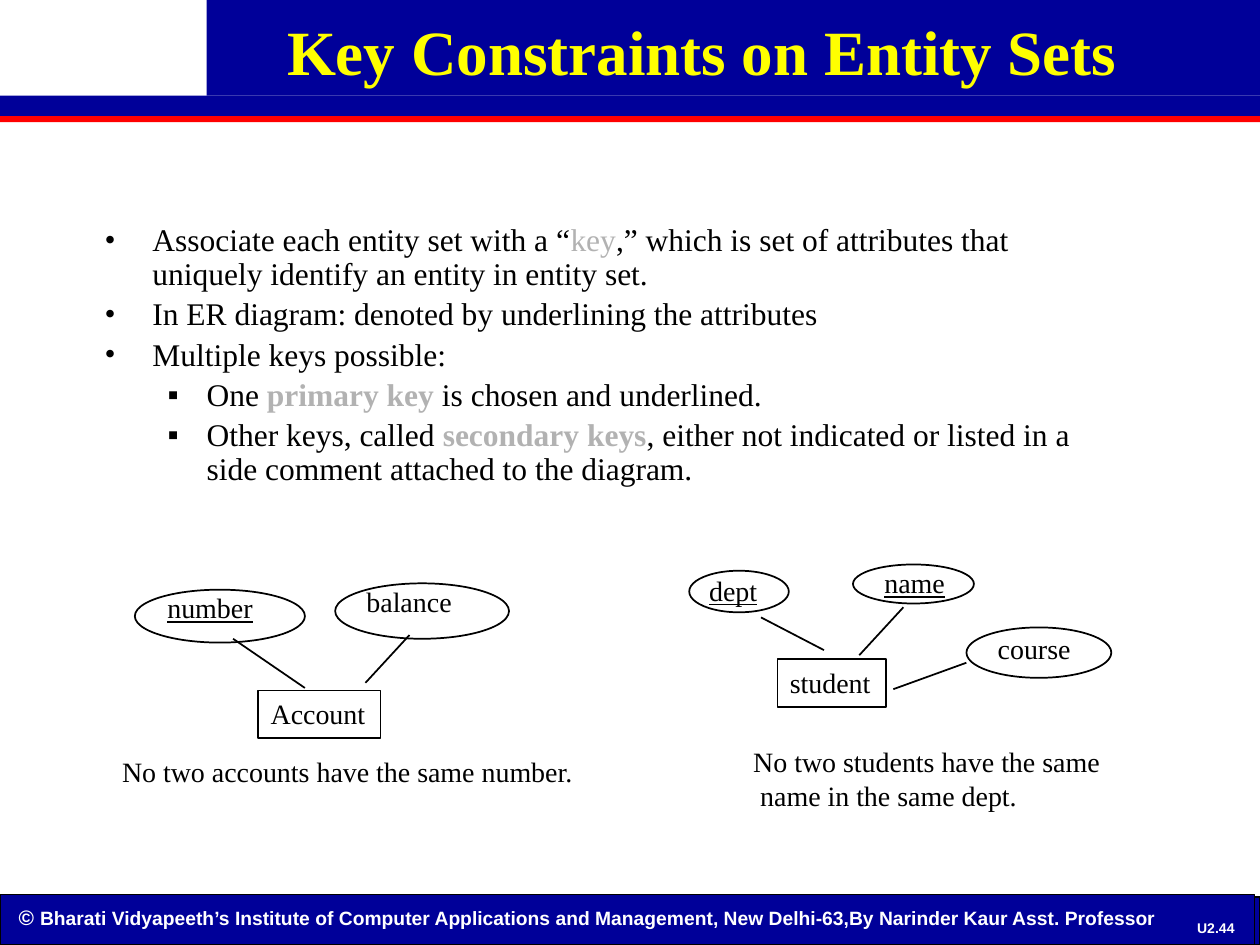
from lxml import etree
from pptx import Presentation
from pptx.dml.color import RGBColor
from pptx.enum.shapes import MSO_CONNECTOR as Conn, MSO_SHAPE as Geo
from pptx.enum.text import MSO_ANCHOR as Anchor, MSO_AUTO_SIZE as Fit, PP_ALIGN as Align
from pptx.oxml.ns import qn
from pptx.util import Emu, Pt

PX = 9144  # 100 px to the inch
NAVY = RGBColor(0x00, 0x00, 0x99)
RED = RGBColor(0xFF, 0x00, 0x00)
YELLOW = RGBColor(0xFF, 0xFF, 0x00)
GRAY = RGBColor(0xB2, 0xB2, 0xB2)
BLACK = RGBColor(0x00, 0x00, 0x00)
WHITE = RGBColor(0xFF, 0xFF, 0xFF)
SERIF, SANS = "Times New Roman", "Arial"

# Each bullet: level, then runs of (text, color, bold)
BULLETS = [
    (0, [("Associate each entity set with a “", BLACK, False), ("key", GRAY, False),
         (",” which is set of attributes that uniquely identify an entity in entity set.",
          BLACK, False)]),
    (0, [("In ER diagram: denoted by underlining the attributes", BLACK, False)]),
    (0, [("Multiple keys possible:", BLACK, False)]),
    (1, [("One ", BLACK, False), ("primary key ", GRAY, True),
         ("is chosen and underlined.", BLACK, False)]),
    (1, [("Other keys, called ", BLACK, False), ("secondary keys", GRAY, True),
         (", either not indicated or listed in a side comment attached to the diagram.",
          BLACK, False)]),
]
MARKS = [("•", 38, 38), ("▪", 81, 31)]  # sign, indent, hang

# Attributes: name, is key, oval box, label box
ACCOUNT = dict(
    name="Account", rect=(118, 89, 97, 38),
    attrs=[("number", True, (20, 9, 135, 42), (36, 5, 126, 37)),
           ("balance", False, (179, 4, 138, 44), (194, 0, 88, 37))],
    links=[(155, 87, 98, 48), (203, 83, 238, 45)],
    note="No two accounts have the same number.", place=(0, 135, 381, 37))
STUDENT = dict(
    name="student", rect=(70, 79, 86, 38),
    attrs=[("dept", True, (0, 9, 79, 33), (6, 6, 84, 37)),
           ("name", True, (130, 4, 96, 31), (145, 0, 68, 37)),
           ("course", False, (220, 54, 115, 40), (235, 52, 78, 37))],
    links=[(107, 72, 57, 46), (135, 76, 170, 38), (162, 103, 220, 82)],
    note="No two students have the same\n name in the same dept.", place=(41, 142, 297, 64))


def scale(*nums):
    return [Emu(n * PX) for n in nums]


def shift(box, x, y):
    return box[0] + x, box[1] + y, box[2], box[3]


def style(font, size, color, face=SERIF, bold=False):
    font.size, font.name, font.bold = Pt(size), face, bold
    font.color.rgb = color


def add_shape(slide, geo, box, fill=None, line=None, width=1):
    shape = slide.shapes.add_shape(geo, *scale(*box))
    shape.shadow.inherit = False
    if fill is None:
        shape.fill.background()
    else:
        shape.fill.solid()
        shape.fill.fore_color.rgb = fill
    if line is None:
        shape.line.fill.background()
    else:
        shape.line.color.rgb = line
        shape.line.width = Pt(width)
    return shape


def put_text(shape, text, underline=False):
    frame = shape.text_frame
    frame.word_wrap = True
    frame.margin_right = 0
    frame.vertical_anchor = Anchor.TOP
    frame.text = text
    for para in frame.paragraphs:
        para.alignment = Align.LEFT
        for run in para.runs:
            style(run.font, 16, BLACK)
            run.font.underline = underline


def add_text(slide, box, text, underline=False):
    put_text(slide.shapes.add_textbox(*scale(*box)), text, underline)


def add_link(slide, ends):
    link = slide.shapes.add_connector(Conn.STRAIGHT, *scale(*ends))
    link.line.color.rgb = BLACK
    link.line.width = Pt(1)
    etree.SubElement(link._element.spPr, qn("a:effectLst"))


def add_header(slide, x, y, w):
    # Red rule and navy bands, leaving a white corner
    add_shape(slide, Geo.RECTANGLE, (x, y + 92, w, 5), RED)
    add_shape(slide, Geo.RECTANGLE, (x + 164, y, w - 164, 76), NAVY)
    add_shape(slide, Geo.RECTANGLE, (x, y + 76, w, 16), NAVY)
    title = slide.shapes.title
    title.left, title.top, title.width, title.height = scale(x + 145, y, 824, 89)
    frame = title.text_frame
    frame.text = "Key Constraints on Entity Sets"
    frame.auto_size = Fit.NONE
    frame.vertical_anchor = Anchor.TOP
    frame.margin_top = Emu(10 * PX)
    para = frame.paragraphs[0]
    para.alignment = Align.CENTER
    style(para.runs[0].font, 36, YELLOW, bold=True)


def add_footer(slide, x, y, w):
    add_shape(slide, Geo.RECTANGLE, (x, y + 2, w, 38), NAVY, BLACK, 0.75)
    add_shape(slide, Geo.RECTANGLE, (x, y, w - 4, 40), NAVY, BLACK, 0.75)
    credit = ("Bharati Vidyapeeth’s Institute of Computer Applications and Management, "
              "New Delhi-63,By Narinder Kaur Asst. Professor")
    parts = [((x + 5, y + 3, 948, 30), [("© ", 12), (credit, 11)], Align.LEFT),
             ((x + 939, y + 17, 52, 19), [("U2.44", 8)], Align.CENTER)]
    for box, runs, side in parts:
        frame = slide.shapes.add_textbox(*scale(*box)).text_frame
        frame.word_wrap = True
        frame.margin_right = frame.margin_left = Emu((10 if side == Align.LEFT else 0) * PX)
        frame.vertical_anchor = Anchor.MIDDLE
        para = frame.paragraphs[0]
        para.alignment = side
        for text, size in runs:
            run = para.add_run()
            run.text = text
            style(run.font, size, WHITE, SANS, True)


def add_bullets(slide, box):
    body = slide.placeholders[1]
    body.left, body.top, body.width, body.height = scale(*box)
    frame = body.text_frame
    frame.auto_size = Fit.NONE
    for i, (level, runs) in enumerate(BULLETS):
        para = frame.add_paragraph() if i else frame.paragraphs[0]
        sign, indent, hang = MARKS[level]
        props = para._p.get_or_add_pPr()
        props.set("marL", str(indent * PX))
        props.set("indent", str(-hang * PX))
        etree.SubElement(props, qn("a:buFont"), typeface=SERIF)
        etree.SubElement(props, qn("a:buChar"), char=sign)
        para.level = level
        para.line_spacing = 0.9
        para.space_before = Pt(3.6 if i else 0)
        for text, color, bold in runs:
            run = para.add_run()
            run.text = text
            style(run.font, 18, color, bold=bold)


def add_entity(slide, x, y, data):
    for name, key, oval, label in data["attrs"]:
        add_shape(slide, Geo.OVAL, shift(oval, x, y), line=BLACK)
        add_text(slide, shift(label, x, y), name, key)
    rect = add_shape(slide, Geo.RECTANGLE, shift(data["rect"], x, y), line=BLACK)
    put_text(rect, data["name"])
    for ax, ay, bx, by in data["links"]:
        add_link(slide, (x + ax, y + ay, x + bx, y + by))
    add_text(slide, shift(data["place"], x, y), data["note"])


def main():
    deck = Presentation()
    deck.slide_width, deck.slide_height = scale(1000, 750)
    slide = deck.slides.add_slide(deck.slide_layouts[1])
    add_header(slide, 0, 0, 1000)
    # Bring the title in front of the bands
    tree = slide.shapes._spTree
    tree.append(slide.shapes.title._element)
    add_footer(slide, 0, 710, 1000)
    add_bullets(slide, (73, 173, 830, 233))
    add_entity(slide, 87, 459, ACCOUNT)
    add_entity(slide, 547, 444, STUDENT)
    deck.save("out.pptx")


if __name__ == "__main__":
    main()
